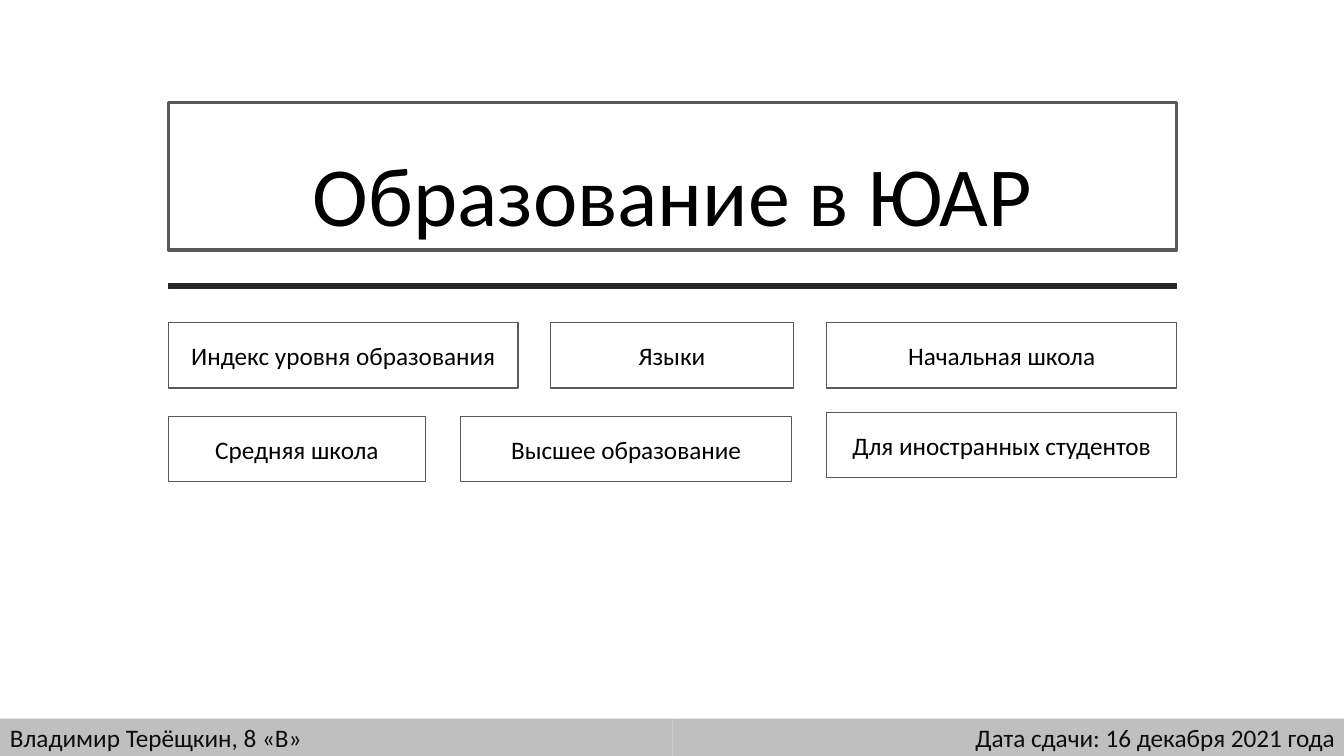
import pptx
import pptx.dml.color
import pptx.enum.shapes
import pptx.enum.text
import pptx.util

Inches = pptx.util.Inches
ALIGN = pptx.enum.text.PP_ALIGN
ANCHOR = pptx.enum.text.MSO_ANCHOR


def color(hex_string):
    return pptx.dml.color.RGBColor.from_string(hex_string)


def format_box(shape, fill, line=None, line_width=1, text="", size=18,
               text_color="000000", alignment=ALIGN.CENTER, anchor=ANCHOR.MIDDLE):
    """Set fill, outline and one paragraph of text; no outline if line is None."""
    shape.fill.solid()
    shape.fill.fore_color.rgb = color(fill)
    if line:
        shape.line.color.rgb = color(line)
        shape.line.width = pptx.util.Pt(line_width)
    else:
        shape.line.fill.background()
    if text:
        frame = shape.text_frame
        frame.text = text
        frame.word_wrap = True
        frame.auto_size = pptx.enum.text.MSO_AUTO_SIZE.NONE
        frame.vertical_anchor = anchor
        paragraph = frame.paragraphs[0]
        paragraph.alignment = alignment
        paragraph.font.name = "Calibri"
        paragraph.font.size = pptx.util.Pt(size)
        paragraph.font.color.rgb = color(text_color)


presentation = pptx.Presentation()
presentation.slide_width = Inches(13.33)
presentation.slide_height = Inches(7.5)
slide = presentation.slides.add_slide(presentation.slide_layouts[0])
subtitle = slide.placeholders[1]
subtitle.element.getparent().remove(subtitle.element)

margin, content_width = 1.67, 10

title = slide.shapes.title
title.left, title.top = Inches(margin), Inches(1.02)
title.width, title.height = Inches(content_width), Inches(1.46)
format_box(title, "FFFFFF", "595959", 2.25, "Образование в ЮАР", 60,
           anchor=ANCHOR.BOTTOM)
title.text_frame.paragraphs[0].line_spacing = 0.9

rectangle = pptx.enum.shapes.MSO_SHAPE.RECTANGLE

topics = [
    ("Индекс уровня образования", margin, 3.2, 3.47),
    ("Языки", 5.46, 3.2, 2.41),
    ("Начальная школа", 8.2, 3.2, 3.47),
    ("Средняя школа", margin, 4.13, 2.55),
    ("Высшее образование", 4.57, 4.13, 3.28),
    ("Для иностранных студентов", 8.2, 4.09, 3.47),
]
for topic, left, top, width in topics:
    button = slide.shapes.add_shape(
        rectangle, Inches(left), Inches(top), Inches(width), Inches(0.65))
    button.shadow.inherit = False
    format_box(button, "FFFFFF", "595959", text=topic)

divider = slide.shapes.add_shape(
    rectangle, Inches(margin), Inches(2.81), Inches(content_width), Inches(0.05))
divider.shadow.inherit = False
format_box(divider, "262626", "262626")

footer_width = 6.67
footers = [
    ("Владимир Терёщкин, 8 «В»", ALIGN.LEFT),
    ("Дата сдачи: 16 декабря 2021 года", ALIGN.RIGHT),
]
for index, (text, alignment) in enumerate(footers):
    footer = slide.shapes.add_shape(
        rectangle, Inches(index * footer_width), Inches(7.13),
        Inches(footer_width), Inches(0.37))
    footer.shadow.inherit = False
    format_box(footer, "BFBFBF", text=text, text_color="0D0D0D", alignment=alignment)

presentation.save("out.pptx")
